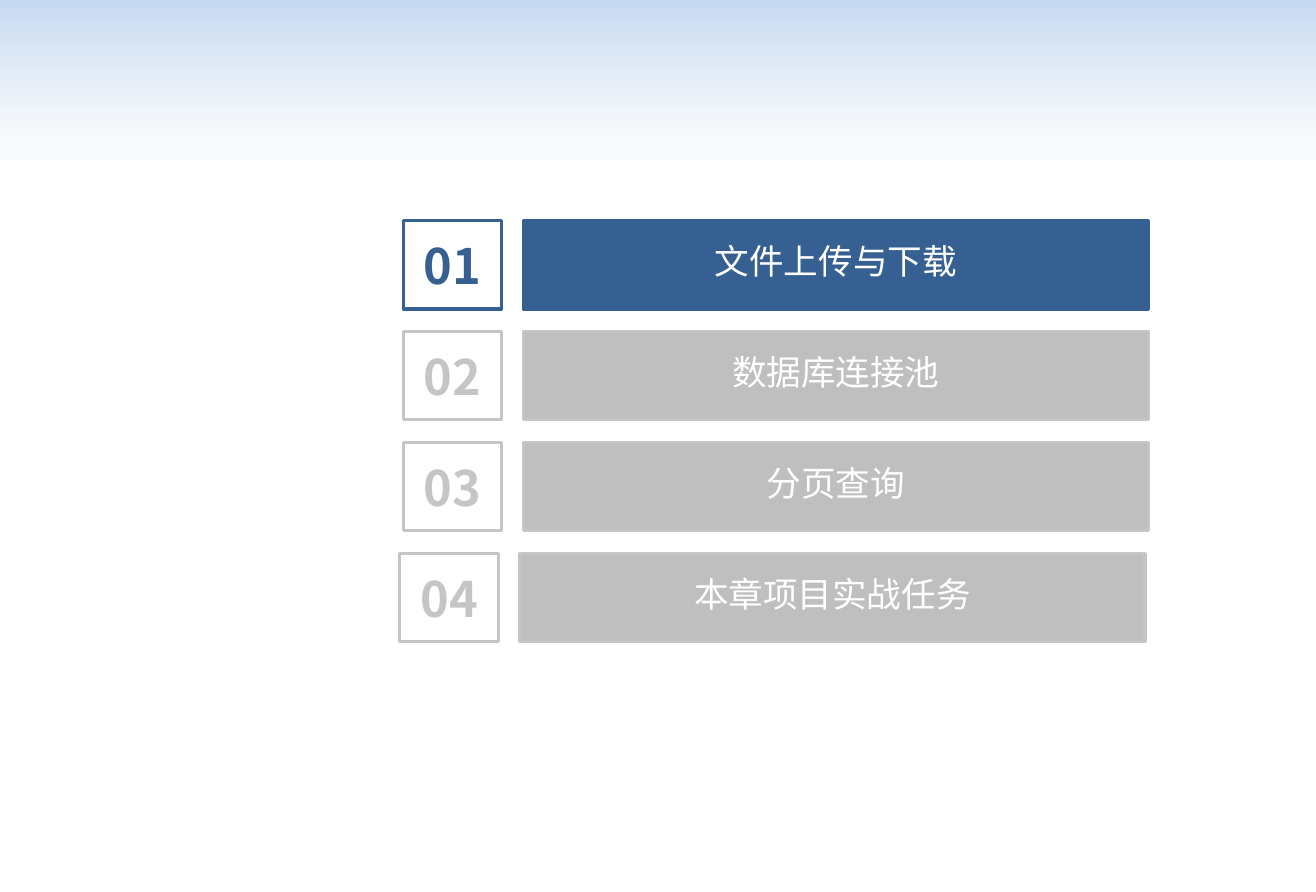
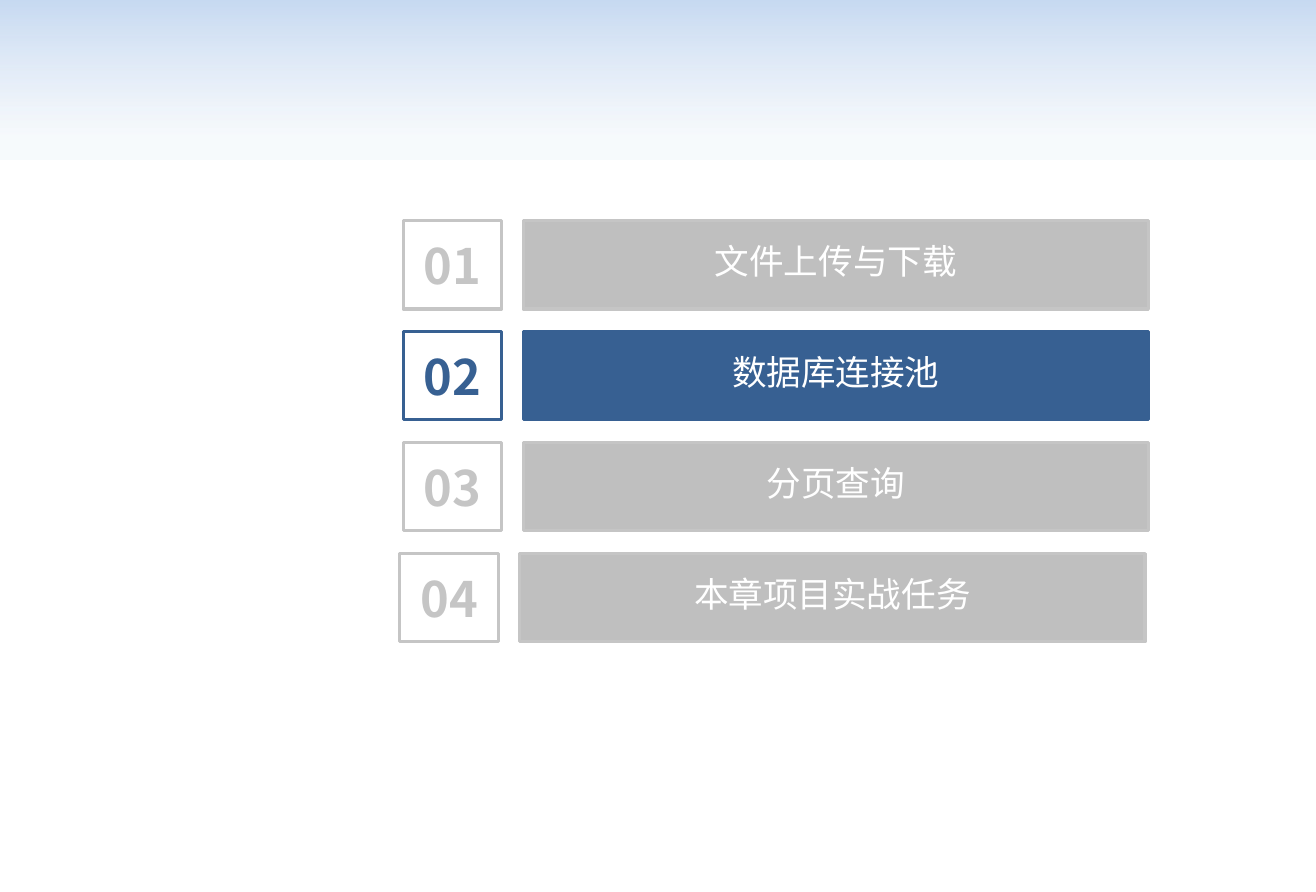
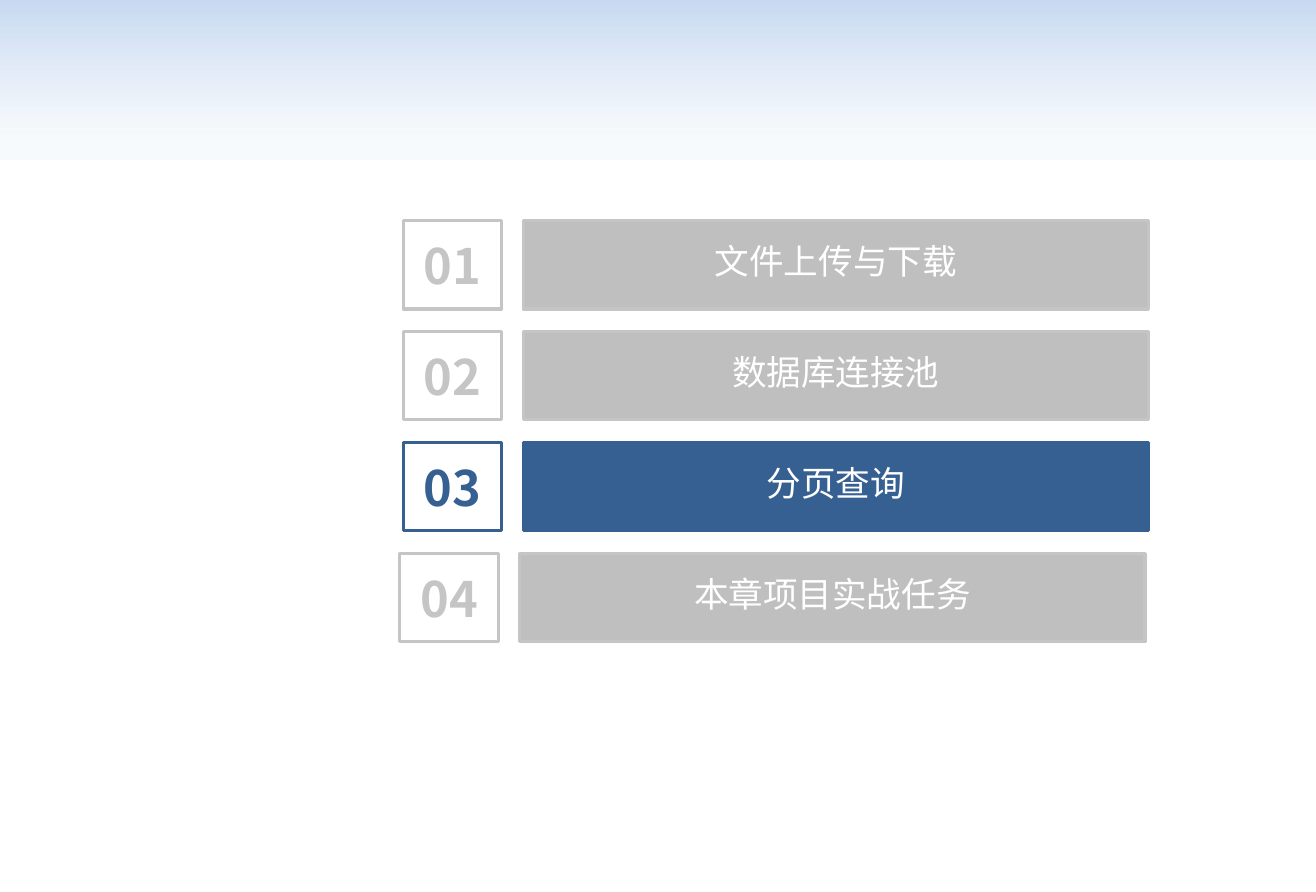
from dataclasses import dataclass

from lxml import etree
from pptx import Presentation
from pptx.dml.color import RGBColor
from pptx.enum import shapes, text
from pptx.oxml.ns import qn
from pptx.util import Inches, Pt

# Chapter sections, with the left edge of each row in inches
SECTIONS = [
    ("文件上传与下载", 3.56),
    ("数据库连接池", 3.56),
    ("分页查询", 3.56),
    ("本章项目实战任务", 3.53),
]
ACTIVE_SECTIONS = [0, 1, 2]  # one slide for each


@dataclass(frozen=True)
class Theme:
    font: str = "Noto Sans CJK SC"
    number_size: int = 31
    label_size: int = 22
    active: str = "376092"
    idle_fill: str = "BFBFBF"
    idle_line: str = "C5C5C5"
    white: str = "FFFFFF"
    band_top: str = "C6D9F1"
    band_bottom: str = "F3F7FB"
    band_alpha: int = 67


THEME = Theme()
SLIDE_W, SLIDE_H = 11.62, 7.88
BAND_H = 1.42
ROW_TOP, ROW_PITCH, ROW_H = 1.95, 0.98, 0.78
NUMBER_W, LABEL_W, LABEL_OFFSET = 0.87, 5.52, 1.06


def rgb(color):
    return RGBColor.from_string(color)


def add_rect(slide, left, top, width, height):
    sp = slide.shapes.add_shape(
        shapes.MSO_SHAPE.RECTANGLE,
        Inches(left), Inches(top), Inches(width), Inches(height))
    sp.shadow.inherit = False
    return sp


def add_box(slide, left, top, width, fill, line, insets):
    sp = add_rect(slide, left, top, width, ROW_H)
    if fill:
        sp.fill.solid()
        sp.fill.fore_color.rgb = rgb(fill)
    else:
        sp.fill.background()
    sp.line.color.rgb = rgb(line)
    sp.line.width = Pt(2)
    tf = sp.text_frame
    tf.word_wrap = True
    tf.vertical_anchor = text.MSO_ANCHOR.MIDDLE
    tf.margin_left = tf.margin_right = Inches(insets[0])
    tf.margin_top = tf.margin_bottom = Inches(insets[1])
    return sp


def write(sp, content, size, color, bold=False, spacing=None):
    p = sp.text_frame.paragraphs[0]
    p.alignment = text.PP_ALIGN.CENTER
    p.line_spacing = spacing
    r = p.add_run()
    r.text = content
    r.font.name = THEME.font
    r.font.size = Pt(size)
    r.font.bold = bold
    r.font.color.rgb = rgb(color)
    for props in sp.element.iter(qn("a:rPr")):
        etree.SubElement(props, qn("a:ea")).set("typeface", THEME.font)


def add_master_band(prs, slide):
    """Draw the header band on a slide, then move it to the master."""
    band = add_rect(slide, 0, 0, SLIDE_W, BAND_H)
    band.line.fill.background()
    band.fill.gradient()
    band.fill.gradient_angle = 270
    colors = (THEME.band_top, THEME.band_bottom)
    for stop, color, position in zip(band.fill.gradient_stops, colors, (0, 0.85)):
        stop.color.rgb = rgb(color)
        stop.position = position
    bottom = list(band.element.iter(qn("a:srgbClr")))[-1]
    etree.SubElement(bottom, qn("a:alpha")).set("val", str(THEME.band_alpha * 1000))

    edge = slide.shapes.add_connector(
        shapes.MSO_CONNECTOR.STRAIGHT,
        0, Inches(BAND_H), Inches(SLIDE_W), Inches(BAND_H))
    edge.line.color.rgb = rgb(THEME.white)
    edge.line.width = Pt(0.75)
    etree.SubElement(edge.element.spPr, qn("a:effectLst"))

    tree = prs.slide_master.shapes.element
    for index, sp in enumerate((band, edge), start=2):
        tree.insert(index, sp.element)


def add_section_row(slide, index, is_active):
    label, left = SECTIONS[index]
    top = ROW_TOP + index * ROW_PITCH
    line = THEME.active if is_active else THEME.idle_line
    fill = THEME.active if is_active else THEME.idle_fill

    number_box = add_box(slide, left, top, NUMBER_W, None, line, (0, 0))
    write(number_box, f"{index + 1:02}", THEME.number_size, line, bold=True)
    label_box = add_box(slide, left + LABEL_OFFSET, top, LABEL_W, fill, line, (0.11, 0.06))
    write(label_box, label, THEME.label_size, THEME.white, spacing=0.8)


def main():
    prs = Presentation()
    prs.slide_width, prs.slide_height = Inches(SLIDE_W), Inches(SLIDE_H)
    blank = prs.slide_layouts[6]
    slides = [prs.slides.add_slide(blank) for _ in ACTIVE_SECTIONS]
    add_master_band(prs, slides[0])
    for slide, active in zip(slides, ACTIVE_SECTIONS):
        for index in range(len(SECTIONS)):
            add_section_row(slide, index, index == active)
    prs.save("out.pptx")


if __name__ == "__main__":
    main()
